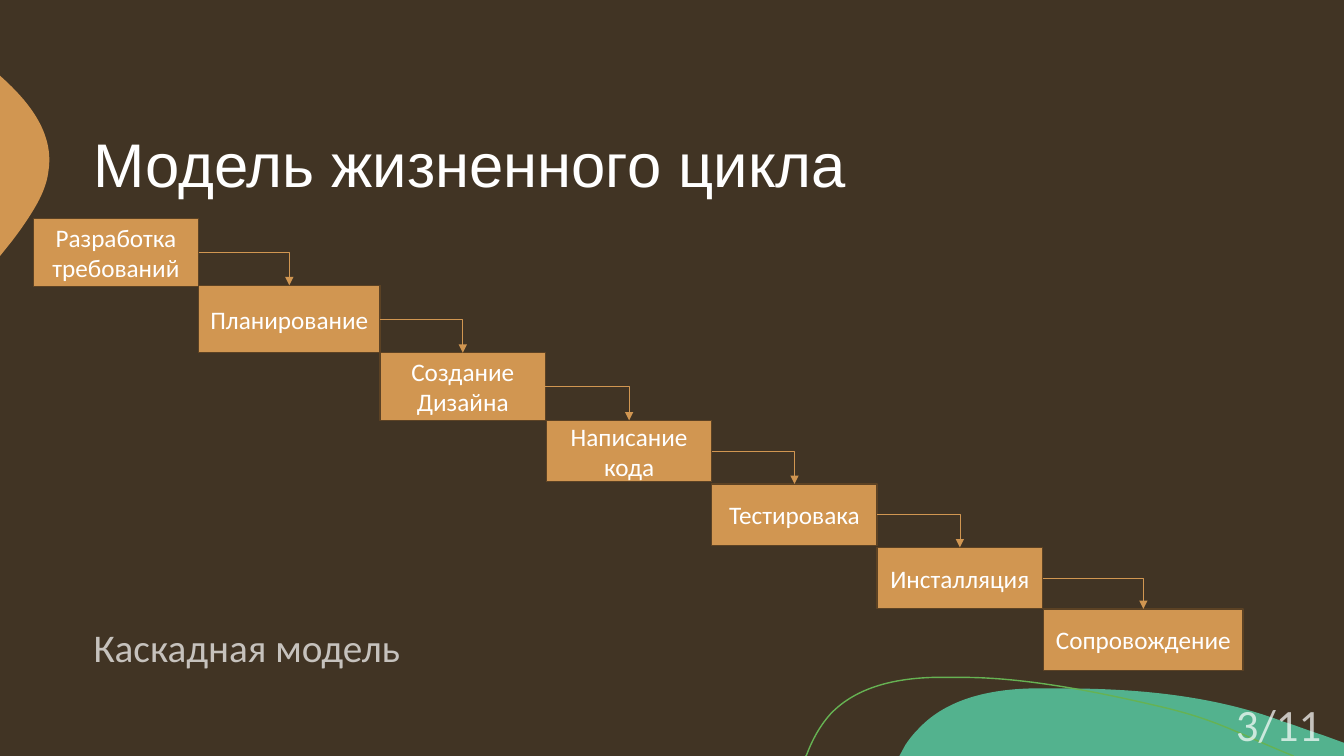
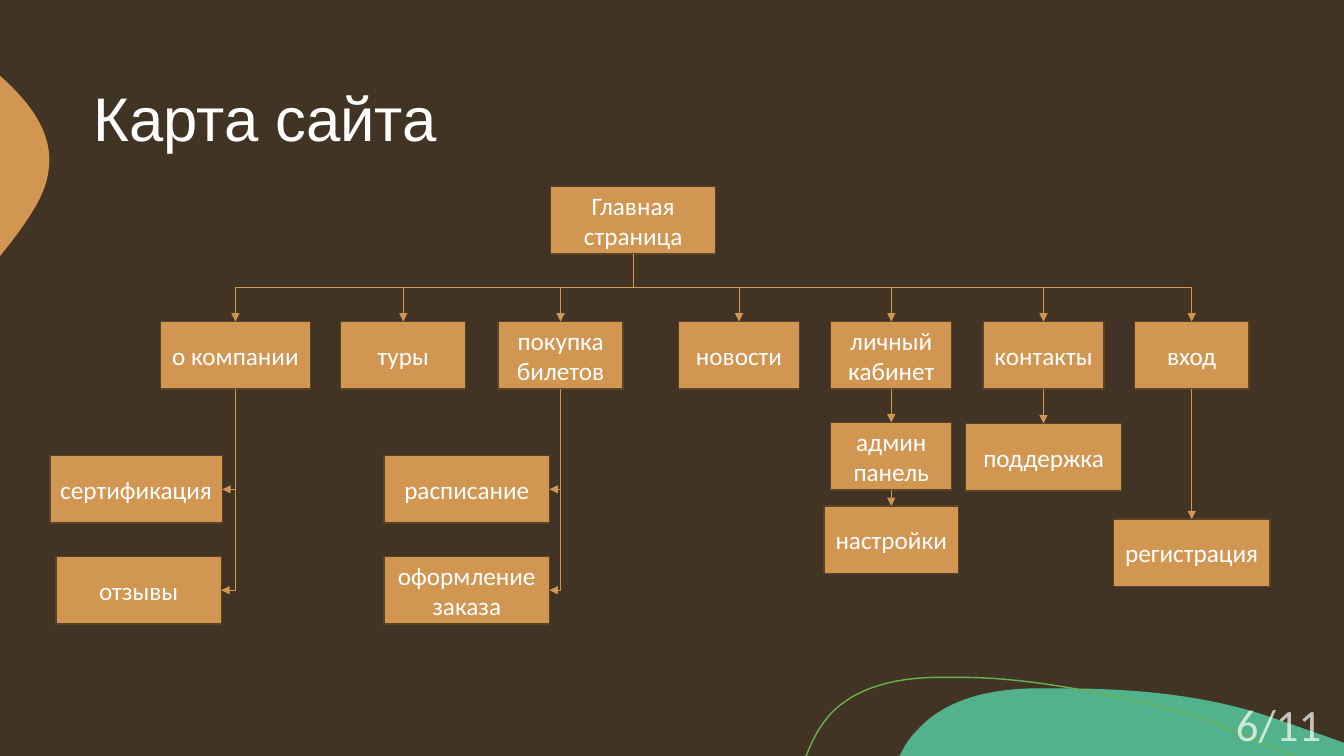
from dataclasses import dataclass

from lxml import etree
from pptx import Presentation
from pptx.dml.color import RGBColor
from pptx.enum.shapes import MSO_CONNECTOR, MSO_SHAPE
from pptx.enum.text import MSO_ANCHOR, PP_ALIGN
from pptx.oxml.ns import qn
from pptx.util import Inches, Pt


@dataclass(frozen=True)
class Theme:
    background: str = "413424"
    accent: str = "D19651"
    box_edge: str = "5C4224"
    wave: str = "53B28E"
    curve: str = "66B253"
    text: str = "FFFFFF"
    muted_opacity: int = 70
    title_font: str = "Arial"
    body_font: str = "Calibri"
    title_size: int = 44
    number_size: int = 32
    caption_size: int = 28
    box_size: int = 18
    edge_width: float = 1
    arrow_width: float = 0.5


@dataclass(frozen=True)
class Box:
    """An area of the slide, in inches."""
    left: float
    top: float
    width: float
    height: float

    def inside(self, left, top, width, height):
        return Box(self.left + left, self.top + top, width, height)

    def emu(self):
        return [Inches(v) for v in (self.left, self.top, self.width, self.height)]


THEME = Theme()
SLIDE = Box(0, 0, 13.33, 7.5)
TITLE = Box(0.83, 0.83, 11.67, 1.67)
NUMBER = Box(12.16, 6.86, 1.18, 0.64)
CAPTION = Box(0.83, 6.06, 3.28, 0.62)
CASCADE = Box(0.33, 2.17, 12, 4.48)
SITE_MAP = Box(0.49, 1.85, 12.1, 4.34)
TOP, LEFT, BOTTOM, RIGHT = range(4)
ROW_HEIGHT = 0.67

# Outlines: a start point, then points (lines) or point triples (Bézier curves).
WAVE = [(10.54, 6.83),
        ((11.28, 6.83), (12.04, 6.9), (12.73, 7.16)),
        ((12.86, 7.2), (12.98, 7.25), (13.11, 7.29)),
        (13.33, 7.37), (13.33, 7.5), (8.92, 7.5), (8.98, 7.39),
        ((9.02, 7.33), (9.06, 7.28), (9.11, 7.23)),
        ((9.39, 6.93), (9.82, 6.84), (10.23, 6.83)),
        ((10.33, 6.83), (10.43, 6.83), (10.54, 6.83))]
LEAF = [(0, 0.75), (0.01, 0.76),
        ((0.3, 1.02), (0.54, 1.33), (0.48, 1.7)),
        ((0.46, 1.87), (0.37, 2.03), (0.27, 2.18)),
        ((0.23, 2.24), (0.17, 2.33), (0.08, 2.44)),
        (0, 2.54)]
CURVE = [(7.99, 7.5), (8, 7.49),
         ((8.06, 7.33), (8.14, 7.19), (8.24, 7.08)),
         ((8.5, 6.81), (8.89, 6.73), (9.26, 6.72)),
         (9.55, 6.72),
         ((10.22, 6.72), (11, 6.89), (11.55, 7.02)),
         ((12.09, 7.15), (12.26, 7.27), (12.83, 7.5))]

# Label, left, top, width, height.
STEPS = [("Разработка требований", 0, 0, 1.64, 0.67),
         ("Планирование", 1.64, 0.66, 1.8, 0.67),
         ("Создание Дизайна", 3.44, 1.33, 1.64, 0.67),
         ("Написание кода", 5.09, 2, 1.64, 0.61),
         ("Тестировака", 6.73, 2.63, 1.64, 0.61),
         ("Инсталляция", 8.37, 3.26, 1.64, 0.61),
         ("Сопровождение", 10.02, 3.87, 1.98, 0.61)]

# Label, left, width, pages beside the branch (label, width, gap),
# pages below (label, width, top).
SECTIONS = [("о компании", 1.1, 1.49,
             [("сертификация", 1.71, 0.13), ("отзывы", 1.64, 0.14)], []),
            ("туры", 2.89, 1.24, [], []),
            ("покупка билетов", 4.45, 1.24,
             [("расписание", 1.64, 0.11), ("оформление заказа", 1.64, 0.11)], []),
            ("новости", 6.24, 1.2, [], []),
            ("личный кабинет", 7.75, 1.2, [],
             [("админ панель", 1.2, 2.34), ("настройки", 1.33, 3.17)]),
            ("контакты", 9.26, 1.2, [], [("поддержка", 1.55, 2.35)]),
            ("вход", 10.76, 1.14, [], [("регистрация", 1.55, 3.3)])]


def rgb(color):
    return RGBColor.from_string(color)


def add_run(paragraph, text, size, font=THEME.body_font, opacity=100):
    run = paragraph.add_run()
    run.text = text
    run.font.size = Pt(size)
    run.font.name = font
    run.font.color.rgb = rgb(THEME.text)
    if opacity < 100:
        color = run.font.fill._xPr.find(qn("a:solidFill"))[0]
        etree.SubElement(color, qn("a:alpha"), val=str(opacity * 1000))


def add_text(slide, box, text, size, anchor=MSO_ANCHOR.TOP, line_spacing=1.0,
             space_before=0, **run_style):
    frame = slide.shapes.add_textbox(*box.emu()).text_frame
    frame.word_wrap = True
    frame.vertical_anchor = anchor
    paragraph = frame.paragraphs[0]
    paragraph.line_spacing = line_spacing
    paragraph.space_before = Pt(space_before)
    add_run(paragraph, text, size, **run_style)


def add_box(slide, box, label):
    shape = slide.shapes.add_shape(MSO_SHAPE.RECTANGLE, *box.emu())
    shape.shadow.inherit = False
    shape.fill.solid()
    shape.fill.fore_color.rgb = rgb(THEME.accent)
    shape.line.color.rgb = rgb(THEME.box_edge)
    shape.line.width = Pt(THEME.edge_width)
    frame = shape.text_frame
    frame.word_wrap = True
    frame.vertical_anchor = MSO_ANCHOR.MIDDLE
    paragraph = frame.paragraphs[0]
    paragraph.alignment = PP_ALIGN.CENTER
    add_run(paragraph, label, THEME.box_size)
    return shape


def site_point(shape, site):
    across = {LEFT: 0, RIGHT: 2}.get(site, 1)
    down = {TOP: 0, BOTTOM: 2}.get(site, 1)
    return shape.left + shape.width * across // 2, shape.top + shape.height * down // 2


def add_arrow(slide, source, source_site, target, target_site, preset):
    """Join two boxes; an elbow that leaves a bottom edge is a turned preset."""
    x1, y1 = site_point(source, source_site)
    x2, y2 = site_point(target, target_site)
    kind = MSO_CONNECTOR.STRAIGHT if preset == "line" else MSO_CONNECTOR.ELBOW
    connector = slide.shapes.add_connector(kind, x1, y1, x2, y2)
    connector.begin_connect(source, source_site)
    connector.end_connect(target, target_site)
    properties = connector._element.spPr
    properties.find(qn("a:prstGeom")).set("prst", preset)
    if preset != "line" and source_site == BOTTOM:
        width, height = y2 - y1, abs(x2 - x1)
        connector.left = (x1 + x2 - width) // 2
        connector.top = (y1 + y2 - height) // 2
        connector.width, connector.height = width, height
        frame = properties.find(qn("a:xfrm"))
        rightward = x2 > x1
        frame.set("rot", str((270 if rightward else 90) * 60000))
        frame.set("flipH", "1" if rightward else "0")
        frame.set("flipV", "0")
    connector.line.color.rgb = rgb(THEME.accent)
    connector.line.width = Pt(THEME.arrow_width)
    etree.SubElement(properties.find(qn("a:ln")), qn("a:tailEnd"), type="triangle")
    etree.SubElement(properties, qn("a:effectLst"))


def is_curve(part):
    return isinstance(part[0], tuple)


def bend_segments(shape, parts):
    """Turn the straight segments that stand for curves into Bézier segments."""
    segments = shape._element.spPr.findall(".//" + qn("a:lnTo"))
    for segment, part in zip(segments, parts):
        if is_curve(part):
            bezier = etree.Element(qn("a:cubicBezTo"))
            for x, y in part:
                etree.SubElement(bezier, qn("a:pt"), x=str(Inches(x) - shape.left),
                                 y=str(Inches(y) - shape.top))
            segment.getparent().replace(segment, bezier)


def add_outline(slide, outline, fill=None, line=None):
    ends = [part[-1] if is_curve(part) else part for part in outline]
    points = [(Inches(x), Inches(y)) for x, y in ends]
    builder = slide.shapes.build_freeform(*points[0])
    builder.add_line_segments(points[1:], close=fill is not None)
    shape = builder.convert_to_shape()
    bend_segments(shape, outline[1:])
    shape.shadow.inherit = False
    if fill:
        shape.fill.solid()
        shape.fill.fore_color.rgb = rgb(fill)
    else:
        shape.fill.background()
    if line:
        shape.line.color.rgb = rgb(line)
        shape.line.width = Pt(THEME.edge_width)
    else:
        shape.line.fill.background()


def add_base_slide(presentation, title, number, title_anchor):
    slide = presentation.slides.add_slide(presentation.slide_layouts[6])
    slide.background.fill.solid()
    slide.background.fill.fore_color.rgb = rgb(THEME.background)
    add_outline(slide, WAVE, fill=THEME.wave)
    add_outline(slide, LEAF, fill=THEME.accent)
    add_outline(slide, CURVE, line=THEME.curve)
    add_text(slide, TITLE, title, THEME.title_size, anchor=title_anchor,
             line_spacing=0.9, font=THEME.title_font)
    add_text(slide, NUMBER, number, THEME.number_size, opacity=THEME.muted_opacity)
    return slide


def add_cascade(slide, area):
    steps = [add_box(slide, area.inside(*place), label) for label, *place in STEPS]
    for step, following in zip(steps, steps[1:]):
        add_arrow(slide, step, RIGHT, following, TOP, "bentConnector2")


def add_section(slide, area, root, section):
    label, left, width, beside, below = section
    center = left + width / 2
    head = add_box(slide, area.inside(left, 1.34, width, ROW_HEIGHT), label)
    add_arrow(slide, root, BOTTOM, head, TOP, "bentConnector3")
    for row, (page_label, page_width, gap) in enumerate(beside):
        page_box = area.inside(center - gap - page_width, 2.67 + row,
                               page_width, ROW_HEIGHT)
        page = add_box(slide, page_box, page_label)
        add_arrow(slide, head, BOTTOM, page, RIGHT, "bentConnector2")
    parent = head
    for page_label, page_width, top in below:
        page_box = area.inside(center - page_width / 2, top, page_width, ROW_HEIGHT)
        page = add_box(slide, page_box, page_label)
        add_arrow(slide, parent, BOTTOM, page, TOP, "line")
        parent = page


def add_site_map(slide, area):
    root = add_box(slide, area.inside(4.97, 0, 1.64, ROW_HEIGHT), "Главная страница")
    for section in SECTIONS:
        add_section(slide, area, root, section)


def build_cascade_slide(presentation):
    slide = add_base_slide(presentation, "Модель жизненного цикла", "3/11",
                           MSO_ANCHOR.MIDDLE)
    add_cascade(slide, CASCADE)
    add_text(slide, CAPTION, "Каскадная модель", THEME.caption_size,
             line_spacing=1.15, space_before=10, opacity=THEME.muted_opacity)


def build_site_map_slide(presentation):
    slide = add_base_slide(presentation, "Карта сайта", "6/11", MSO_ANCHOR.TOP)
    add_site_map(slide, SITE_MAP)


def main():
    presentation = Presentation()
    presentation.slide_width = Inches(SLIDE.width)
    presentation.slide_height = Inches(SLIDE.height)
    build_cascade_slide(presentation)
    build_site_map_slide(presentation)
    presentation.save("out.pptx")


if __name__ == "__main__":
    main()
